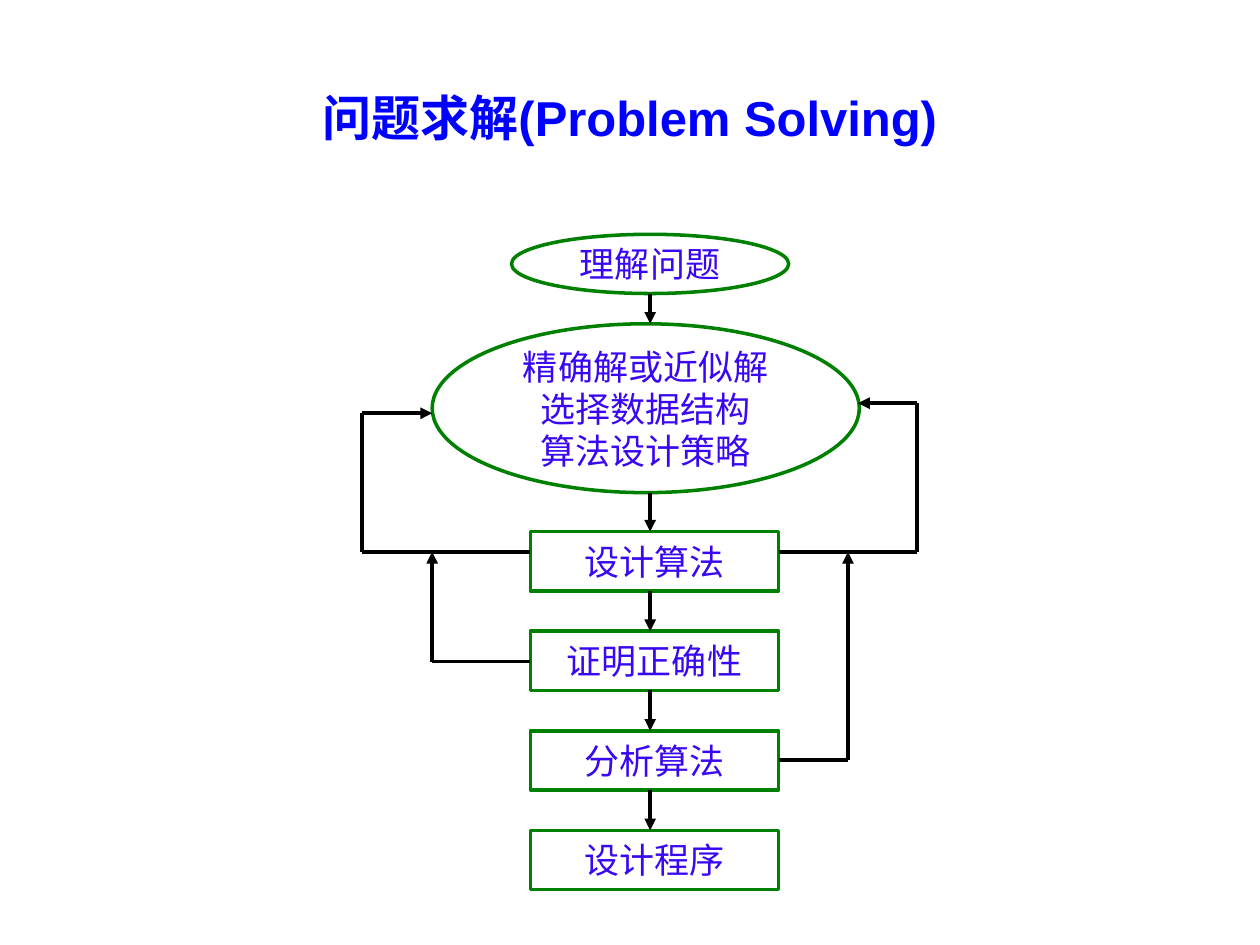
import dataclasses
import itertools
import lxml.etree
import pptx
import pptx.dml.color
import pptx.enum.shapes
import pptx.enum.text
import pptx.oxml.ns
import pptx.util

Inches = pptx.util.Inches
Pt = pptx.util.Pt
Shape = pptx.enum.shapes.MSO_SHAPE


@dataclasses.dataclass(frozen=True)
class Theme:
    """Colours, type sizes and line widths of the slide."""
    font: str = "Arial"
    title: str = "0000FF"
    label: str = "3907F1"
    edge: str = "008000"
    fill: str = "FFFFFF"
    arrow: str = "000000"
    title_size: float = 28
    label_size: float = 20
    edge_width: float = 2
    arrow_width: float = 2.25


THEME = Theme()


def color(code):
    """Return an RGB colour for a hex code."""
    return pptx.dml.color.RGBColor.from_string(code)


def write(frame, text, size, ink, bold=False, wrap=True):
    """Fill a frame with centred text, one paragraph per line."""
    frame.text = text
    frame.word_wrap = wrap
    frame.vertical_anchor = pptx.enum.text.MSO_ANCHOR.MIDDLE
    for para in frame.paragraphs:
        para.alignment = pptx.enum.text.PP_ALIGN.CENTER
        for run in para.runs:
            run.font.name = THEME.font
            run.font.size = Pt(size)
            run.font.bold = bold
            run.font.color.rgb = color(ink)


def head(slide, text):
    """Place and format the title."""
    title = slide.shapes.title
    title.left, title.top = Inches(0.5), Inches(0.3)
    title.width, title.height = Inches(9), Inches(1.25)
    write(title.text_frame, text, size=THEME.title_size, ink=THEME.title, bold=True)


def node(slide, kind, text, left, top, width, height=0.47):
    """Add one outlined step of the flow chart."""
    shape = slide.shapes.add_shape(
        kind, Inches(left), Inches(top), Inches(width), Inches(height))
    shape.shadow.inherit = False
    shape.fill.solid()
    shape.fill.fore_color.rgb = color(THEME.fill)
    shape.line.color.rgb = color(THEME.edge)
    shape.line.width = Pt(THEME.edge_width)
    write(shape.text_frame, text, size=THEME.label_size, ink=THEME.label, wrap=False)


def line(slide, start, end, arrow=False):
    """Add a straight line, with an arrowhead at its end if asked."""
    link = slide.shapes.add_connector(
        pptx.enum.shapes.MSO_CONNECTOR.STRAIGHT,
        *(Inches(value) for value in start + end))
    link.line.color.rgb = color(THEME.arrow)
    link.line.width = Pt(THEME.arrow_width)
    qn = pptx.oxml.ns.qn
    if arrow:
        lxml.etree.SubElement(link.line._get_or_add_ln(), qn("a:tailEnd"), type="triangle")
    lxml.etree.SubElement(link._element.spPr, qn("a:effectLst"))


def route(slide, *points):
    """Join points by lines and end in an arrowhead."""
    for start, end in itertools.pairwise(points):
        line(slide, start, end, arrow=end == points[-1])


def main():
    """Build the slide and save it."""
    deck = pptx.Presentation()
    deck.slide_width, deck.slide_height = Inches(10), Inches(7.5)
    slide = deck.slides.add_slide(deck.slide_layouts[5])
    head(slide, "问题求解(Problem Solving)")

    node(slide, Shape.OVAL, "理解问题", 4.06, 1.86, 2.2)
    node(slide, Shape.OVAL, "精确解或近似解\n选择数据结构\n算法设计策略", 3.43, 2.57, 3.39, 1.34)
    left, right, first, step, high = 4.21, 6.18, 4.22, 0.79, 0.47
    steps = ["设计算法", "证明正确性", "分析算法", "设计程序"]
    tops = [first + step * index for index in range(len(steps))]
    for text, top in zip(steps, tops):
        node(slide, Shape.RECTANGLE, text, left, top, right - left, high)

    mid = 5.16
    ends = [2.33, 3.91] + [top + high for top in tops[:-1]]
    for start, end in zip(ends, [2.57] + tops):
        route(slide, (mid, start), (mid, end))

    back = 4.38
    route(slide, (left, back), (2.87, back), (2.87, 3.28), (3.43, 3.28))
    route(slide, (right, back), (7.28, back), (7.28, 3.2), (6.81, 3.2))
    route(slide, (left, 5.25), (3.43, 5.25), (3.43, back))
    route(slide, (right, 6.03), (6.73, 6.03), (6.73, back))
    deck.save("out.pptx")


main()
